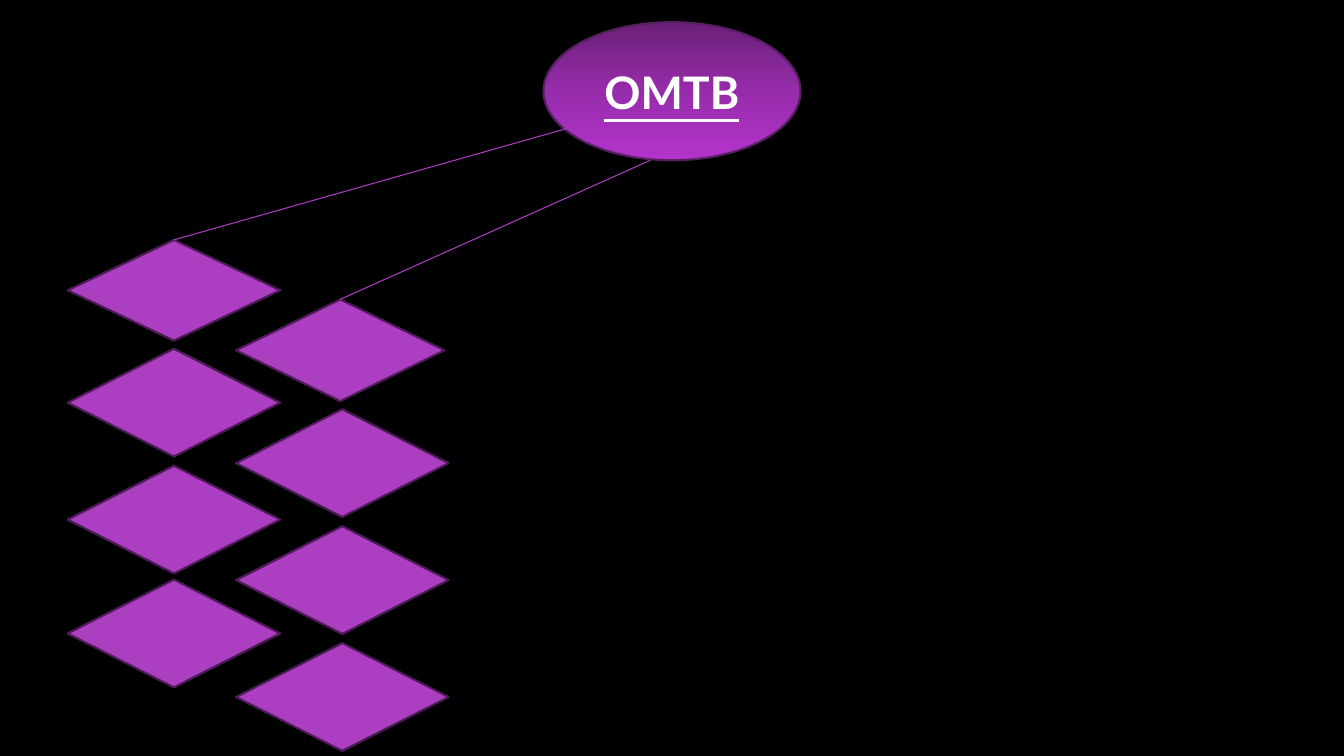
from lxml import etree
from pptx import Presentation
from pptx.dml.color import RGBColor
from pptx.enum import shapes, text
from pptx.oxml import ns
from pptx.util import Inches, Pt

COLORS = {
    "background": "000000",
    "text": "FFFFFF",
    "diamond": "AC3EC1",
    "diamond_line": "4B1B55",
    "root_line": "561F60",
    "root_top": "6A1F78",
    "root_middle": "972CAB",
    "root_bottom": "B334CB",
}
LEFT_COLUMN = 0.67
RIGHT_COLUMN = 2.34
DIAMOND_WIDTH = 2.11
DIAMOND_HEIGHT = 1.07


def color(name):
    return RGBColor.from_string(COLORS[name])


def add_outlined_shape(slide, kind, box, line_name):
    shape = slide.shapes.add_shape(kind, *map(Inches, box))
    shape.shadow.inherit = False
    shape.line.color.rgb = color(line_name)
    shape.line.width = Pt(1.5)
    return shape


def set_gradient(shape, names):
    shape.fill.gradient()
    shape.fill.gradient_angle = 270
    stops = shape._element.spPr.find(".//" + ns.qn("a:gsLst"))
    for stop in list(stops):
        stops.remove(stop)
    for index, name in enumerate(names):
        position = index * 100000 // (len(names) - 1)
        stop = etree.SubElement(stops, ns.qn("a:gs"), pos=str(position))
        etree.SubElement(stop, ns.qn("a:srgbClr"), val=COLORS[name])


def add_root(slide, label):
    root = add_outlined_shape(
        slide, shapes.MSO_SHAPE.OVAL, (5.39, 0.22, 2.55, 1.37), "root_line"
    )
    set_gradient(root, ("root_top", "root_middle", "root_bottom"))
    root.text_frame.text = label
    root.text_frame.vertical_anchor = text.MSO_ANCHOR.MIDDLE
    paragraph = root.text_frame.paragraphs[0]
    paragraph.alignment = text.PP_ALIGN.CENTER
    font = paragraph.runs[0].font
    font.name = "Lato"
    font.size = Pt(32)
    font.bold = True
    font.underline = True
    font.color.rgb = color("text")


def add_diamond(slide, left, top, width=DIAMOND_WIDTH, height=DIAMOND_HEIGHT):
    diamond = add_outlined_shape(
        slide,
        shapes.MSO_SHAPE.FLOWCHART_DECISION,
        (left, top, width, height),
        "diamond_line",
    )
    diamond.fill.solid()
    diamond.fill.fore_color.rgb = color("diamond")
    return diamond


def add_branch(slide, start, diamond):
    begin_x, begin_y = map(Inches, start)
    branch = slide.shapes.add_connector(
        shapes.MSO_CONNECTOR.STRAIGHT, begin_x, begin_y, begin_x, begin_y
    )
    branch.end_connect(diamond, 0)
    branch.line.color.rgb = color("diamond")
    branch.line.width = Pt(0.75)
    etree.SubElement(branch._element.spPr, ns.qn("a:effectLst"))


def main():
    presentation = Presentation()
    presentation.slide_width = Inches(13.33)
    presentation.slide_height = Inches(7.5)
    slide = presentation.slides.add_slide(presentation.slide_layouts[6])
    slide.background.fill.solid()
    slide.background.fill.fore_color.rgb = color("background")

    add_root(slide, "OMTB")
    add_branch(slide, (5.64, 1.27), add_diamond(slide, LEFT_COLUMN, 2.38, height=1))
    add_branch(
        slide, (6.45, 1.59), add_diamond(slide, RIGHT_COLUMN, 2.97, 2.07, 1.01)
    )
    columns = {LEFT_COLUMN: (3.46, 4.62, 5.75), RIGHT_COLUMN: (4.06, 5.22, 6.38)}
    for left, tops in columns.items():
        for top in tops:
            add_diamond(slide, left, top)

    presentation.save("out.pptx")


if __name__ == "__main__":
    main()
